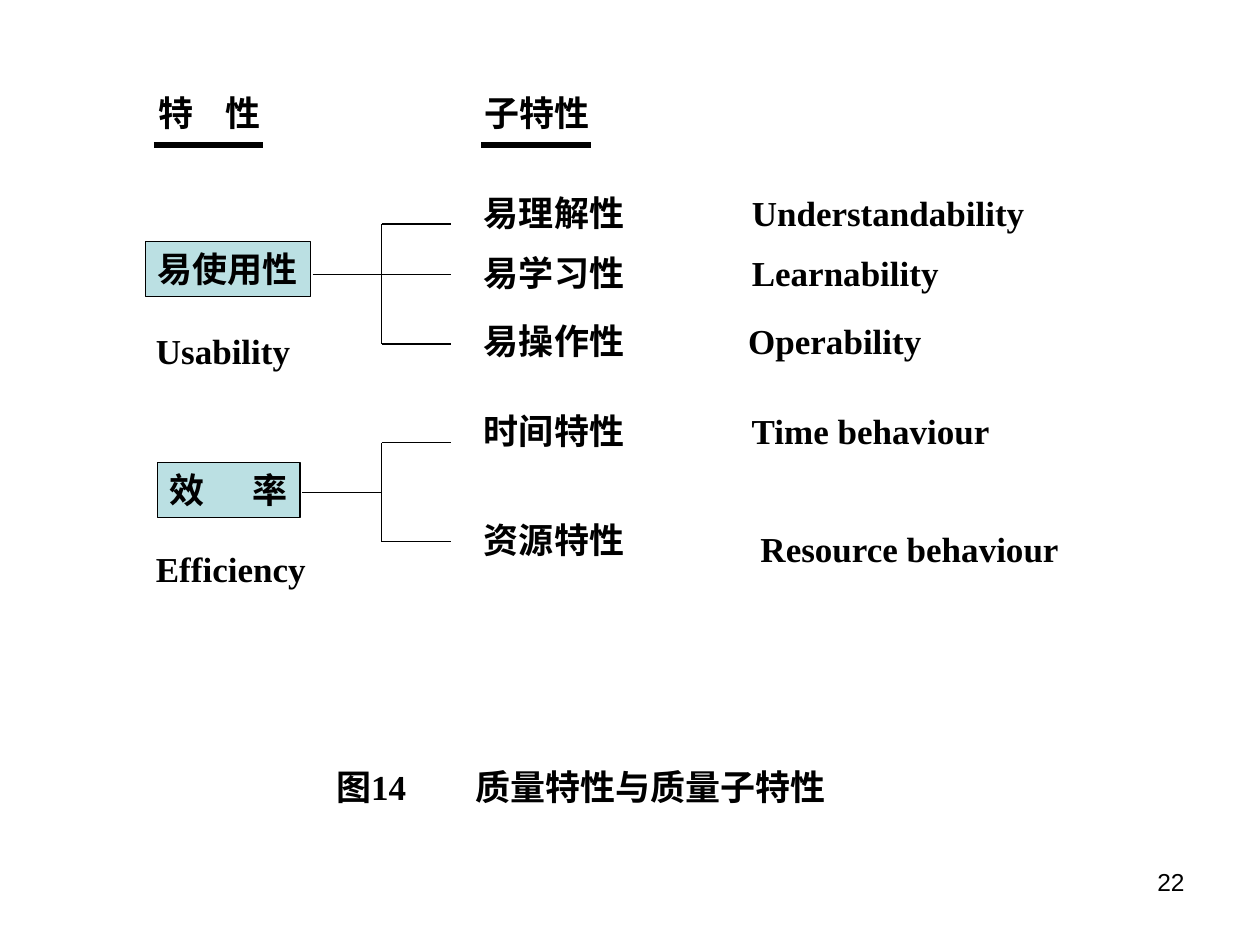
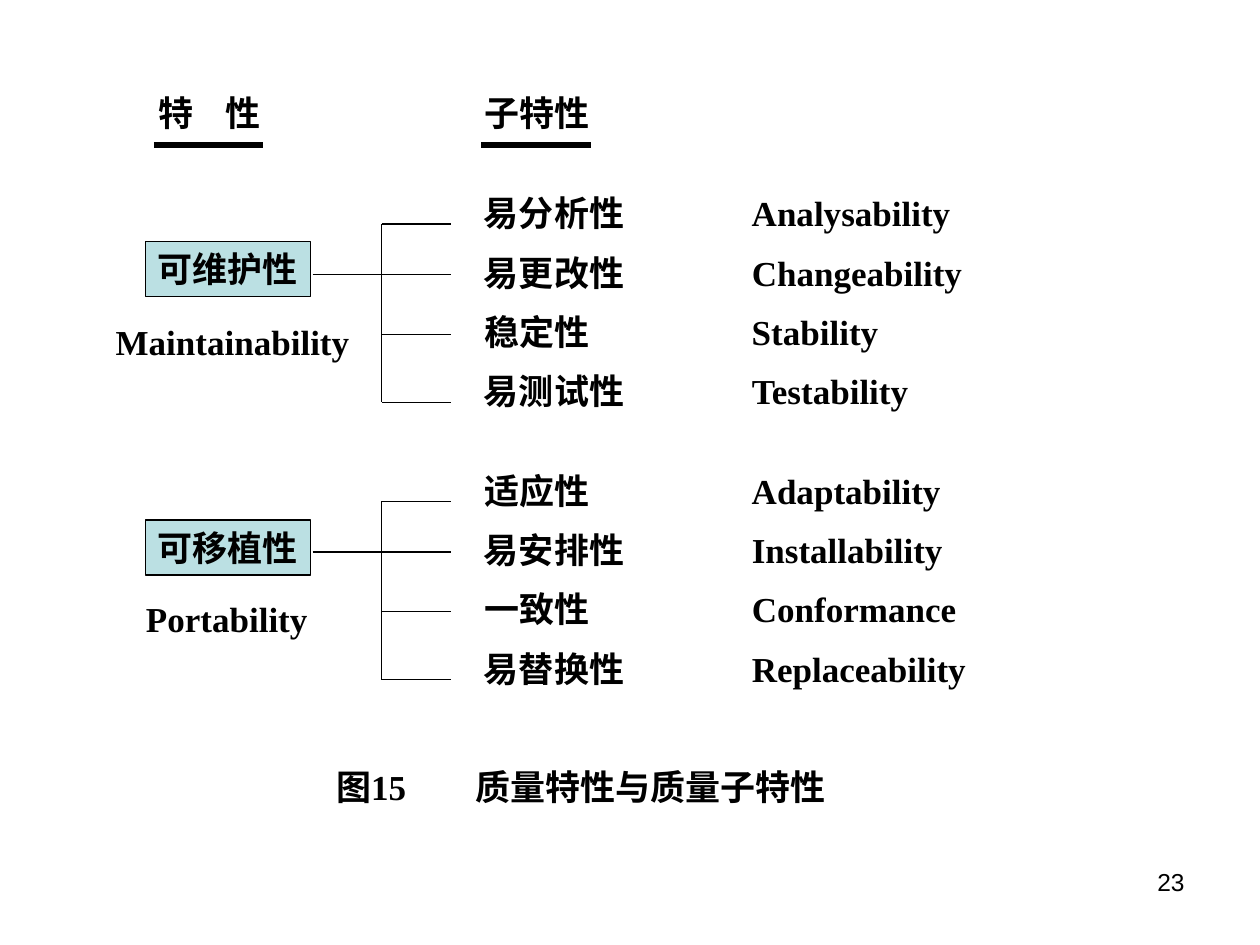
from lxml.etree import SubElement
from pptx import Presentation
from pptx.dml.color import RGBColor
from pptx.enum.shapes import MSO_CONNECTOR as Connector, MSO_SHAPE as Shape
from pptx.enum.text import MSO_ANCHOR as Anchor, PP_ALIGN as Align
from pptx.oxml.ns import qn
from pptx.util import Pt

COLORS = {"ink": "000000", "box": "BBE0E3", "page": "FFFFFF"}
BODY = {"name": "Times New Roman", "size": Pt(20), "bold": True}
NUMBER = {"name": "Arial", "size": Pt(14), "bold": False}

HEADINGS = [("特\t性", 83.5, 73, 88), ("子特性", 269.5, 74.4, 275)]
FOUR_ROWS = {"rows": [0, 33.9, 67.8, 101.7], "branches": [22, 51, 85, 124]}

SLIDES = [
    {"number": "22", "caption": "图14\t质量特性与质量子特性", "groups": [
        {"top": 106, "name": "易使用性", "box": (83, 32, 94.4),
         "english": ("Usability", 82, 79, 91),
         "rows": [0, 34, 73], "branches": [22, 51, 90.5],
         "parts": [("易理解性", "Understandability", 170),
                   ("易学习性", "Learnability", 121),
                   ("易操作性", "Operability", 113)],
         "nudges": {2: (-2, 0)}},
        {"top": 230.5, "name": "效\t率", "box": (90, 33.8, 81.4),
         "english": ("Efficiency", 82, 79, 100),
         "rows": [0, 62], "branches": [22.5, 79],
         "parts": [("时间特性", "Time behaviour", 150),
                   ("资源特性", "Resource behaviour", 185)],
         "nudges": {1: (5, 5.5)}},
    ]},
    {"number": "23", "caption": "图15\t质量特性与质量子特性", "groups": [
        {"top": 106, "name": "可维护性", "box": (83, 32, 94.4),
         "english": ("Maintainability", 59, 73.5, 148), **FOUR_ROWS,
         "parts": [("易分析性", "Analysability", 128),
                   ("易更改性", "Changeability", 135),
                   ("稳定性", "Stability", 86),
                   ("易测试性", "Testability", 106)]},
        {"top": 264.5, "name": "可移植性", "box": (83, 32.6, 94.4),
         "english": ("Portability", 76.3, 73.5, 107), **FOUR_ROWS,
         "parts": [("适应性", "Adaptability", 122),
                   ("易安排性", "Installability", 123),
                   ("一致性", "Conformance", 131),
                   ("易替换性", "Replaceability", 137)]},
    ]},
]

TAB_STOPS = {"特\t性": 38, "效\t率": 47, "图14\t质量特性与质量子特性": 79.5,
             "图15\t质量特性与质量子特性": 79.5}
ROW_HEIGHT = 31.5
CHINESE_LEFT, ENGLISH_LEFT = 269.5, 422.5
SPINE, BRANCH_END = 218.2, 257.8
STEM = 51


def color(name):
    return RGBColor.from_string(COLORS[name])


def write(box, text, font=BODY, align=Align.LEFT):
    frame = box.text_frame
    frame_format = {"word_wrap": True, "vertical_anchor": Anchor.TOP,
                    "margin_left": Pt(7.2), "margin_top": Pt(3.6),
                    "margin_bottom": Pt(3.6),
                    "margin_right": Pt(7.2 if align == Align.RIGHT else 0)}
    for key, value in frame_format.items():
        setattr(frame, key, value)
    para = frame.paragraphs[0]
    para.alignment = align
    if text in TAB_STOPS:
        tabs = SubElement(para._p.get_or_add_pPr(), qn("a:tabLst"))
        SubElement(tabs, qn("a:tab"), pos=str(Pt(TAB_STOPS[text])), algn="l")
    span = para.add_run()
    span.text = text
    for key, value in font.items():
        setattr(span.font, key, value)
    span.font.color.rgb = color("ink")


def add_text(page, text, left, top, width, height=ROW_HEIGHT, **style):
    box = page.shapes.add_textbox(Pt(left), Pt(top), Pt(width), Pt(height))
    write(box, text, **style)


def add_line(page, x1, y1, x2, y2, weight=0.75):
    line = page.shapes.add_connector(Connector.STRAIGHT, Pt(x1), Pt(y1), Pt(x2), Pt(y2))
    line.line.color.rgb = color("ink")
    line.line.width = Pt(weight)
    SubElement(line._element.spPr, qn("a:effectLst"))


def add_characteristic(page, text, left, top, width):
    box = page.shapes.add_shape(Shape.RECTANGLE, Pt(left), Pt(top), Pt(width), Pt(ROW_HEIGHT))
    box.shadow.inherit = False
    box.fill.solid()
    box.fill.fore_color.rgb = color("box")
    box.line.color.rgb = color("ink")
    box.line.width = Pt(0.75)
    write(box, text)


def add_group(page, group):
    top = group["top"]
    box_left, box_drop, box_width = group["box"]
    add_characteristic(page, group["name"], box_left, top + box_drop, box_width)
    english, left, drop, width = group["english"]
    add_text(page, english, left, top + drop, width)

    branches = group["branches"]
    stem_end = BRANCH_END if STEM in branches else SPINE
    add_line(page, box_left + box_width + 1.2, top + STEM, stem_end, top + STEM)
    add_line(page, SPINE, top + branches[0], SPINE, top + branches[-1])
    for branch in branches:
        if branch != STEM:
            add_line(page, SPINE, top + branch, BRANCH_END, top + branch)

    for index, (chinese, english, width) in enumerate(group["parts"]):
        row_top = top + group["rows"][index]
        shift, drop = group.get("nudges", {}).get(index, (0, 0))
        add_text(page, chinese, CHINESE_LEFT, row_top, 20 * len(chinese) + 14.4)
        add_text(page, english, ENGLISH_LEFT + shift, row_top + drop, width)


def add_page(deck, content):
    page = deck.slides.add_slide(deck.slide_layouts[6])
    page.background.fill.solid()
    page.background.fill.fore_color.rgb = color("page")
    for text, left, width, rule_left in HEADINGS:
        add_text(page, text, left, 49, width)
        add_line(page, rule_left, 82.8, rule_left + 62.5, 82.8, weight=3)
    for group in content["groups"]:
        add_group(page, group)
    add_text(page, content["caption"], 185, 434, 294.5)
    add_text(page, content["number"], 516, 492, 168, 37.5, font=NUMBER, align=Align.RIGHT)


def main():
    deck = Presentation()
    deck.slide_width, deck.slide_height = Pt(720), Pt(540)
    for content in SLIDES:
        add_page(deck, content)
    deck.save("out.pptx")


if __name__ == "__main__":
    main()
